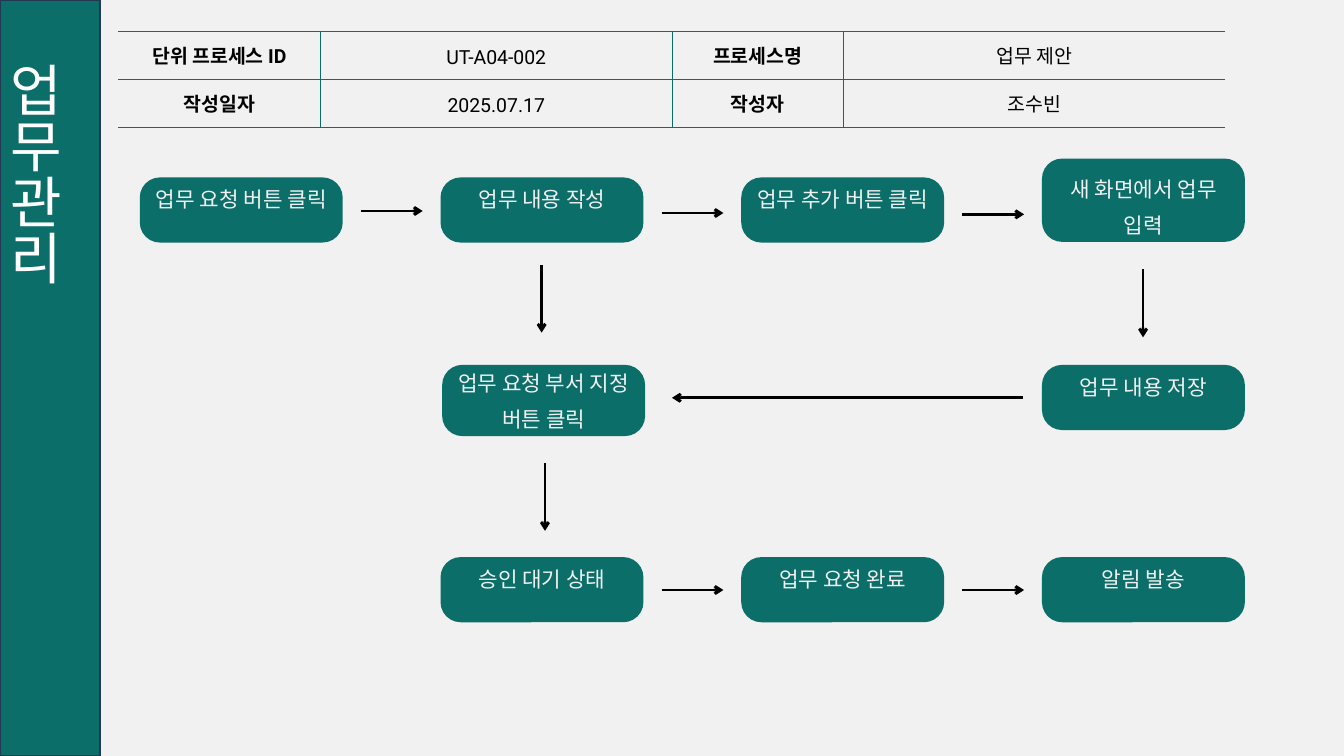
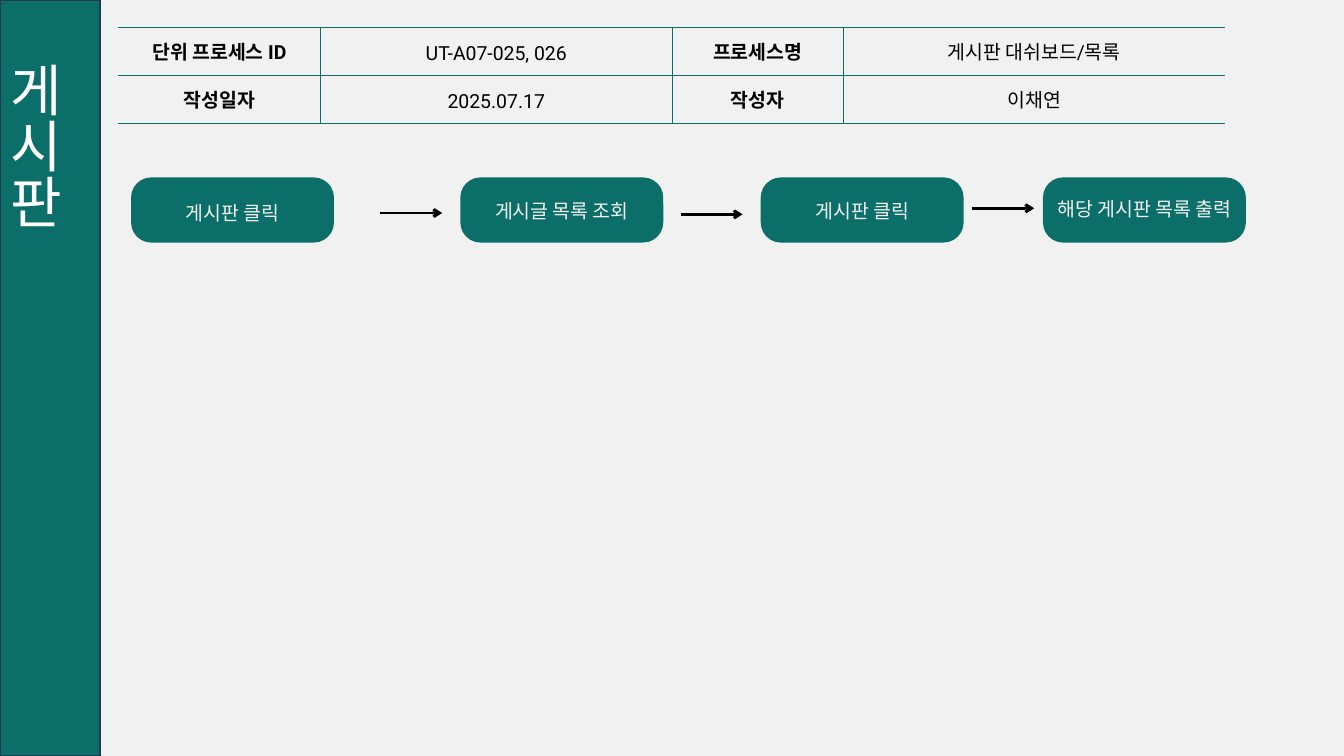
from lxml import etree
from pptx import Presentation
from pptx.dml.color import RGBColor
from pptx.enum.shapes import MSO_CONNECTOR, MSO_SHAPE
from pptx.enum.text import MSO_ANCHOR, PP_ALIGN
from pptx.oxml.ns import qn
from pptx.util import Inches, Pt

RECTANGLE = MSO_SHAPE.RECTANGLE
ROUNDED = MSO_SHAPE.ROUNDED_RECTANGLE
STRAIGHT = MSO_CONNECTOR.STRAIGHT
MIDDLE = MSO_ANCHOR.MIDDLE
BOTTOM = MSO_ANCHOR.BOTTOM
CENTER = PP_ALIGN.CENTER
JUSTIFY = PP_ALIGN.JUSTIFY

COLORS = {
    "background": "F1F1F1",
    "green": "0B6E69",
    "navy": "233953",
    "black": "000000",
    "white": "FFFFFF",
}
BODY_FONT = "Roboto"
TITLE_FONT = "Calibri"

SLIDE_WIDTH, SLIDE_HEIGHT = 20, 11.25
SIDEBAR_WIDTH = 1.49
TABLE_LEFT = 1.76
TABLE_COLUMNS = (3.01, 5.23, 2.55, 5.68)
TABLE_ROW = 0.71
BOX_WIDTH, BOX_HEIGHT, BOX_RADIUS = 3.02, 0.97, 0.3
LABEL_EXTRA = 0.47
ARROW_LENGTH, ARROW_DROP = 0.92, 1.01

FLOW_COLUMNS = [2.08 + 4.475 * index for index in range(4)]
FLOW_ROWS = (2.64, 5.43, 8.29)
ARROW_OFFSET = 3.29


def rgb(name):
    return RGBColor.from_string(COLORS[name])


class ProcessDeck:
    def __init__(self):
        self.presentation = Presentation()
        self.presentation.slide_width = Inches(SLIDE_WIDTH)
        self.presentation.slide_height = Inches(SLIDE_HEIGHT)
        self.slide = None

    def new_slide(self, title, table_top, rows):
        self.slide = self.presentation.slides.add_slide(self.presentation.slide_layouts[6])
        fill = self.slide.background.fill
        fill.solid()
        fill.fore_color.rgb = rgb("background")
        self.sidebar(title)
        self.info_table(table_top, rows)

    def format_text(self, text_frame, size, color, font=BODY_FONT, align=CENTER,
                    spacing=None, bold=False):
        for paragraph in text_frame.paragraphs:
            paragraph.alignment = align
            if spacing:
                paragraph.line_spacing = Pt(spacing)
            for run in paragraph.runs:
                run.font.name = font
                run.font.size = Pt(size)
                run.font.bold = bold
                run.font.color.rgb = rgb(color)

    def filled_shape(self, shapes, kind, left, top, width, height):
        shape = shapes.add_shape(kind, Inches(left), Inches(top), Inches(width), Inches(height))
        shape.shadow.inherit = False
        shape.fill.solid()
        shape.fill.fore_color.rgb = rgb("green")
        shape.line.fill.background()
        return shape

    def sidebar(self, title):
        band = self.filled_shape(self.slide.shapes, RECTANGLE, 0, 0, SIDEBAR_WIDTH, SLIDE_HEIGHT)
        band.line.color.rgb = rgb("navy")
        band.line.width = Pt(2)
        text_frame = band.text_frame
        text_frame.text = "　" + title
        text_frame.vertical_anchor = BOTTOM
        text_frame._txBody.bodyPr.set("vert", "eaVert")
        self.format_text(text_frame, 60, "white", TITLE_FONT, JUSTIFY)

    def cell_borders(self, cell, hidden_side):
        properties = cell._tc.get_or_add_tcPr()
        for position, side in enumerate(("lnL", "lnR", "lnT", "lnB")):
            border = etree.Element(qn(f"a:{side}"), w=str(Pt(0.75)))
            if side == hidden_side:
                etree.SubElement(border, qn("a:noFill"))
            else:
                solid = etree.SubElement(border, qn("a:solidFill"))
                etree.SubElement(solid, qn("a:srgbClr"), val=COLORS["green"])
            properties.insert(position, border)

    def info_table(self, top, rows):
        frame = self.slide.shapes.add_table(
            len(rows), len(TABLE_COLUMNS), Inches(TABLE_LEFT), Inches(top),
            Inches(sum(TABLE_COLUMNS)), Inches(TABLE_ROW * len(rows)))
        table = frame.table
        table.first_row = table.horz_banding = False
        for column, width in zip(table.columns, TABLE_COLUMNS):
            column.width = Inches(width)
        hidden_sides = {0: "lnL", len(TABLE_COLUMNS) - 1: "lnR"}
        for row_index, values in enumerate(rows):
            table.rows[row_index].height = Inches(TABLE_ROW)
            for column_index, value in enumerate(values):
                cell = table.cell(row_index, column_index)
                cell.text_frame.text = value
                cell.vertical_anchor = MIDDLE
                cell.margin_left = cell.margin_right = Inches(0.01)
                cell.margin_top = cell.margin_bottom = Inches(0.01)
                cell.fill.background()
                self.cell_borders(cell, hidden_sides.get(column_index))
                self.format_text(cell.text_frame, 20.8, "black", spacing=29.2,
                                 bold=column_index % 2 == 0)

    def step(self, left, top, text, height=BOX_HEIGHT, rise=LABEL_EXTRA, size=22.8, spacing=38.6):
        group = self.slide.shapes.add_group_shape()
        box = self.filled_shape(group.shapes, ROUNDED, left, top, BOX_WIDTH, height)
        box.adjustments[0] = BOX_RADIUS / height
        label = group.shapes.add_textbox(Inches(left), Inches(top - rise),
                                         Inches(BOX_WIDTH), Inches(height + LABEL_EXTRA))
        text_frame = label.text_frame
        text_frame.word_wrap = True
        text_frame.margin_left = text_frame.margin_right = Inches(0.06)
        text_frame.margin_top = text_frame.margin_bottom = Inches(0.06)
        text_frame.text = text
        text_frame.vertical_anchor = BOTTOM if "\n" in text else MIDDLE
        self.format_text(text_frame, size, "background", spacing=spacing)

    def arrow(self, left, top, across=0, down=0):
        connector = self.slide.shapes.add_connector(
            STRAIGHT, Inches(left), Inches(top), Inches(left + across), Inches(top + down))
        connector.line.color.rgb = rgb("black")
        connector.line.width = Pt(3)
        etree.SubElement(connector.line._get_or_add_ln(), qn("a:tailEnd"), type="arrow")
        etree.SubElement(connector._element.spPr, qn("a:effectLst"))


def info_rows(process_id, name, author):
    return (("단위 프로세스 ID", process_id, "프로세스명", name),
            ("작성일자", "2025.07.17", "작성자", author))


def build_task_slide(deck):
    deck.new_slide("업무관리", 0.47, info_rows("UT-A04-002", "업무 제안", "조수빈"))
    first, second, third, fourth = FLOW_COLUMNS
    request, save, finish = FLOW_ROWS

    for left, text in zip(FLOW_COLUMNS, ("업무 요청 버튼 클릭", "업무 내용 작성", "업무 추가 버튼 클릭")):
        deck.step(left, request, text)
    deck.step(fourth, 2.36, "새 화면에서 업무\n입력", height=1.24)
    deck.step(fourth, save, "업무 내용 저장")
    deck.step(6.58, save, "업무 요청 부서 지정\n버튼 클릭", height=1.06)
    for left, text in zip(FLOW_COLUMNS[1:], ("승인 대기 상태", "업무 요청 완료", "알림 발송")):
        deck.step(left, finish, text)

    for left, top in ((first, 3.14), (second, 3.17), (third, 3.19), (second, 8.78), (third, 8.78)):
        deck.arrow(left + ARROW_OFFSET, top, across=ARROW_LENGTH)
    for left, top in ((8.06, 3.94), (8.11, 6.89), (17.01, 4.01)):
        deck.arrow(left, top, down=ARROW_DROP)
    deck.arrow(15.23, 5.92, across=-5.23)


def build_board_slide(deck):
    deck.new_slide("게시판", 0.41, info_rows("UT-A07-025, 026", "게시판 대쉬보드/목록", "이채연"))
    steps = ((1.95, 0.26, "게시판 클릭"), (6.85, 0.3, "게시글 목록 조회"),
             (11.32, 0.3, "게시판 클릭"), (15.52, 0.33, "해당 게시판 목록 출력"))
    for left, rise, text in steps:
        deck.step(left, FLOW_ROWS[0], text, rise=rise, size=20.8, spacing=35.2)
    for left, top in ((5.66, 3.17), (10.13, 3.19), (14.47, 3.1)):
        deck.arrow(left, top, across=ARROW_LENGTH)


def main():
    deck = ProcessDeck()
    build_task_slide(deck)
    build_board_slide(deck)
    deck.presentation.save("out.pptx")


if __name__ == "__main__":
    main()
